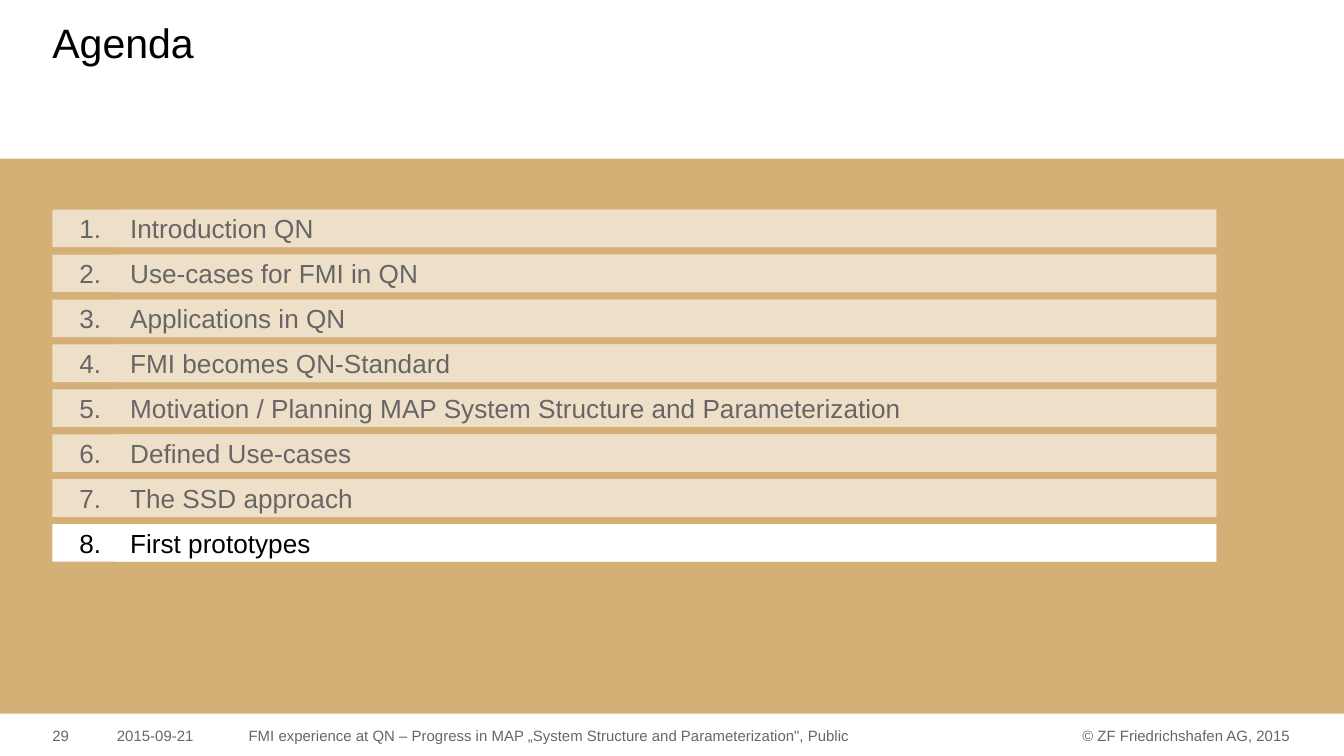
from pptx import Presentation
from pptx.dml.color import RGBColor
from pptx.enum.shapes import MSO_SHAPE as Shape
from pptx.enum.text import MSO_ANCHOR as Anchor, MSO_AUTO_SIZE as AutoSize, PP_ALIGN as Align
from pptx.util import Inches, Pt

FONT = "Arial"
GREY, BLACK, WHITE = "666666", "000000", "FFFFFF"
SAND, PALE_SAND = "D5B076", "EEDFC8"

TOPICS = [
    "Introduction QN",
    "Use-cases for FMI in QN",
    "Applications in QN",
    "FMI becomes QN-Standard",
    "Motivation / Planning MAP System Structure and Parameterization",
    "Defined Use-cases",
    "The SSD approach",
    "First prototypes",
]
CURRENT = 8


def color(hex_value):
    return RGBColor.from_string(hex_value)


def write(frame, text, size, ink, align=Align.LEFT, anchor=Anchor.TOP,
          inset=0, right_inset=0, spacing=None):
    frame.word_wrap = True
    frame.auto_size = AutoSize.NONE
    frame.vertical_anchor = anchor
    frame.margin_left, frame.margin_right = Inches(inset), Inches(right_inset)
    frame.margin_top = frame.margin_bottom = 0
    line = frame.paragraphs[0]
    line.alignment = align
    if spacing:
        line.line_spacing = Pt(spacing)
    run = line.add_run()
    run.text = text
    run.font.name, run.font.size = FONT, Pt(size)
    run.font.color.rgb = color(ink)


def add_bar(slide, left, top, width, height, fill):
    bar = slide.shapes.add_shape(
        Shape.RECTANGLE, Inches(left), Inches(top), Inches(width), Inches(height))
    bar.shadow.inherit = False
    bar.fill.solid()
    bar.fill.fore_color.rgb = color(fill)
    bar.line.fill.background()
    return bar


def add_title(slide, left, top, width, height, text):
    title = slide.shapes.title
    title.left, title.top = Inches(left), Inches(top)
    title.width, title.height = Inches(width), Inches(height)
    write(title.text_frame, text, 22, BLACK, spacing=24)


def add_agenda(slide, left, top, width, height, topics, current):
    row_height, label_offset = 0.28, 0.48
    pitch = (height - row_height) / (len(topics) - 1)
    for number, topic in enumerate(topics, 1):
        fill, ink = (WHITE, BLACK) if number == current else (PALE_SAND, GREY)
        row_top = top + (number - 1) * pitch
        number_bar = add_bar(slide, left, row_top, width, row_height, fill)
        write(number_bar.text_frame, f"{number}.", 14, ink,
              anchor=Anchor.MIDDLE, inset=0.2)
        topic_bar = add_bar(slide, left + label_offset, row_top,
                            width - label_offset, row_height, fill)
        write(topic_bar.text_frame, topic, 14, ink,
              anchor=Anchor.MIDDLE, inset=0.1, right_inset=0.1)


def add_footer(slide, left, top, width, height):
    entries = [
        (0, 0.39, "29", Align.LEFT),
        (0.48, 0.98, "2015-09-21", Align.LEFT),
        (1.46, 5, "FMI experience at QN – Progress in MAP "
                  "„System Structure and Parameterization\", Public", Align.LEFT),
        (width - 1.77, 1.77, "© ZF Friedrichshafen AG, 2015", Align.RIGHT),
    ]
    for offset, entry_width, text, align in entries:
        entry = slide.shapes.add_textbox(
            Inches(left + offset), Inches(top), Inches(entry_width), Inches(height))
        write(entry.text_frame, text, 8, GREY, align, spacing=8)


def main():
    deck = Presentation()
    deck.slide_width = Inches(10)
    deck.slide_height = deck.slide_width * 9 // 16
    slide = deck.slides.add_slide(deck.slide_layouts[5])
    add_title(slide, 0.39, 0.16, 8.07, 0.65, "Agenda")
    add_bar(slide, 0, 1.18, 10, 4.13, SAND)
    add_agenda(slide, 0.39, 1.56, 8.66, 2.62, TOPICS, CURRENT)
    add_footer(slide, 0.39, 5.43, 9.21, 0.12)
    deck.save("out.pptx")


if __name__ == "__main__":
    main()
